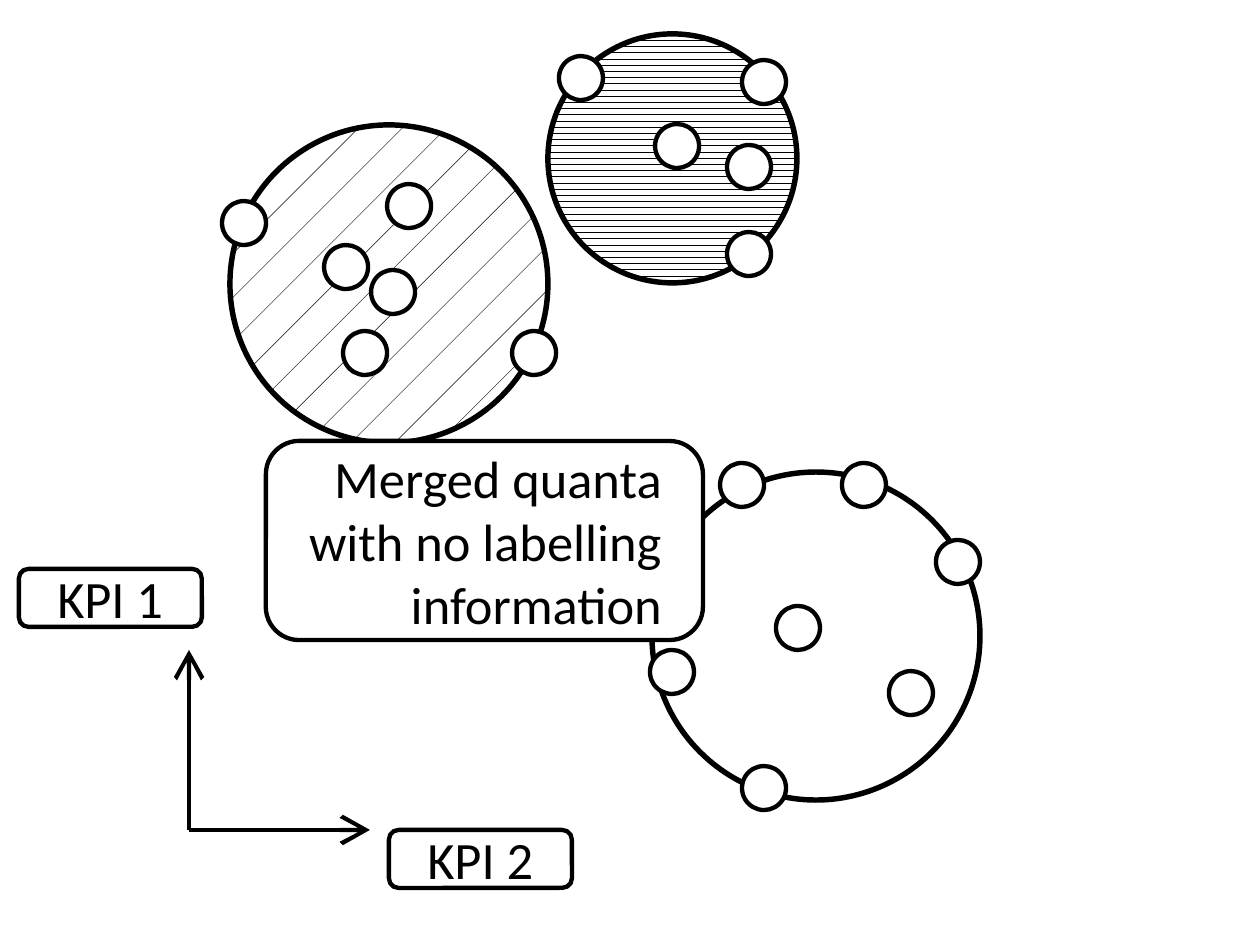
from lxml import etree
from pptx import Presentation, util as u
from pptx.dml.color import RGBColor
from pptx.enum import dml, shapes, text
from pptx.oxml.ns import qn

PX = 914400 / 315
COLORS = {"ink": "000000", "paper": "FFFFFF"}
INK, PAPER = (RGBColor.from_string(COLORS[name]) for name in ("ink", "paper"))
DOT = 44


def px(*lengths):
    return [u.Emu(round(length * PX)) for length in lengths]


def add_outlined(kind, box, weight=1):
    """Add a white preset shape with a black outline."""
    outlined = slide.shapes.add_shape(kind, *px(*box))
    outlined.shadow.inherit = False
    outlined.fill.solid()
    outlined.fill.fore_color.rgb = PAPER
    outlined.line.color.rgb = INK
    outlined.line.width = u.Pt(weight)
    return outlined


prs = Presentation()
prs.slide_width, prs.slide_height = px(1260, 945)
slide = prs.slides.add_slide(prs.slide_layouts[6])

# KPI axes, both starting at the same corner
corner = (189, 830)
for tip in [(189, 650), (370, 830)]:
    axis = slide.shapes.add_connector(
        shapes.MSO_CONNECTOR.STRAIGHT, *px(*corner, *tip))
    axis.line.color.rgb = INK
    axis.line.width = u.Pt(1)
    etree.SubElement(axis.line._get_or_add_ln(), qn("a:tailEnd"), type="arrow")
    etree.SubElement(axis._element.spPr, qn("a:effectLst"))

# Clusters: left, top, diameter, pattern
clusters = [
    (230, 125, 318, dml.MSO_PATTERN.PERCENT_5),
    (548, 34, 249, dml.MSO_PATTERN.LIGHT_HORIZONTAL),
    (652, 472, 328, None),
]
for left, top, diameter, pattern in clusters:
    cluster = add_outlined(
        shapes.MSO_SHAPE.OVAL, (left, top, diameter, diameter), 1.25)
    if pattern is None:
        cluster.fill.background()
    else:
        cluster.fill.patterned()
        cluster.fill.pattern = pattern
        cluster.fill.fore_color.rgb = INK
        cluster.fill.back_color.rgb = PAPER

# Quanta, given by their centres, one row per cluster
quanta = [
    (244, 223), (365, 353), (409, 206), (534, 353), (346, 267), (393, 292),
    (581, 78), (749, 254), (764, 82), (677, 146), (749, 167),
    (864, 485), (672, 672), (742, 485), (911, 693), (798, 628), (764, 788),
    (958, 562),
]
for x, y in quanta:
    add_outlined(shapes.MSO_SHAPE.FLOWCHART_CONNECTOR,
                 (x - DOT / 2, y - DOT / 2, DOT, DOT))

labels = [
    ("KPI 1", (19, 569, 183, 58), text.PP_ALIGN.CENTER),
    ("KPI 2", (389, 830, 183, 58), text.PP_ALIGN.CENTER),
    ("Merged quanta\vwith no labelling information", (266, 441, 437, 199),
     text.PP_ALIGN.RIGHT),
]
for wording, box, alignment in labels:
    label = add_outlined(shapes.MSO_SHAPE.ROUNDED_RECTANGLE, box)
    frame = label.text_frame
    frame.word_wrap = True
    frame.vertical_anchor = text.MSO_ANCHOR.MIDDLE
    frame.text = wording
    paragraph = frame.paragraphs[0]
    paragraph.alignment = alignment
    for run in paragraph.runs:
        for name, value in {"name": "Calibri", "size": u.Pt(12)}.items():
            setattr(run.font, name, value)
        run.font.color.rgb = INK

prs.save("out.pptx")
